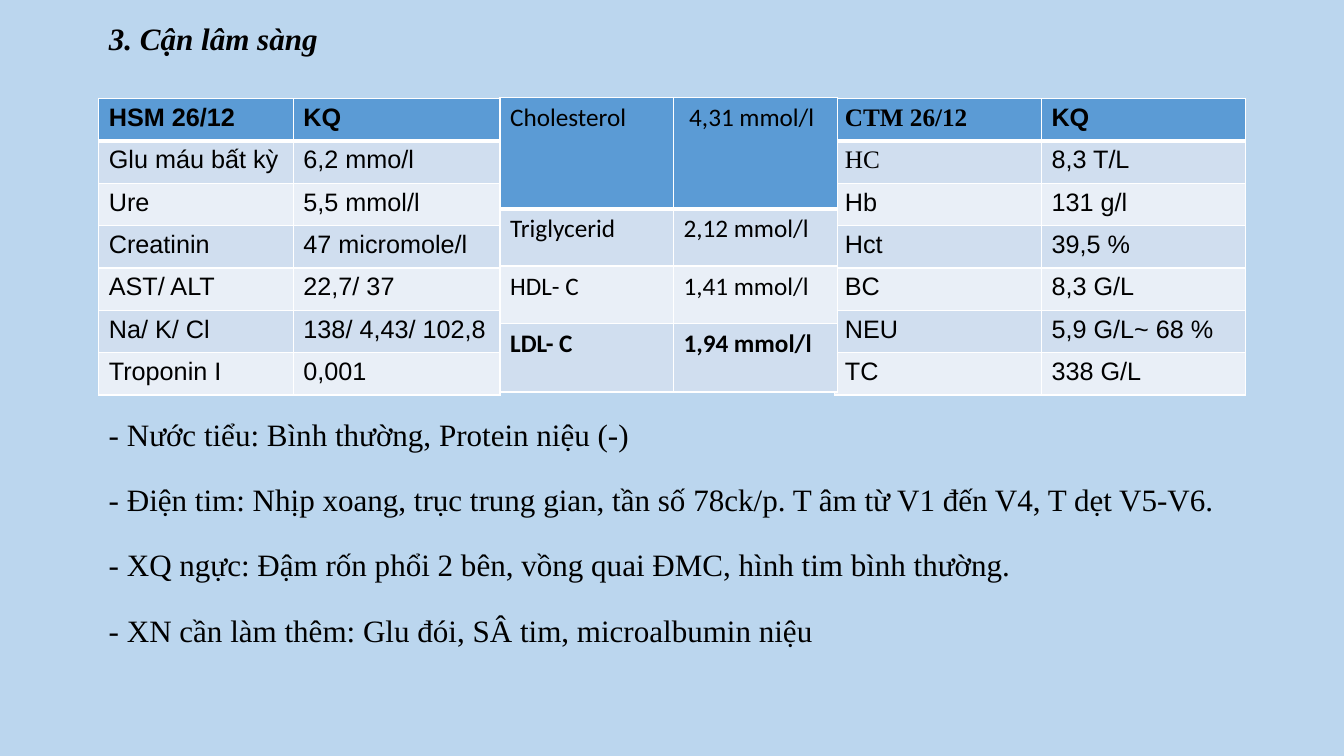
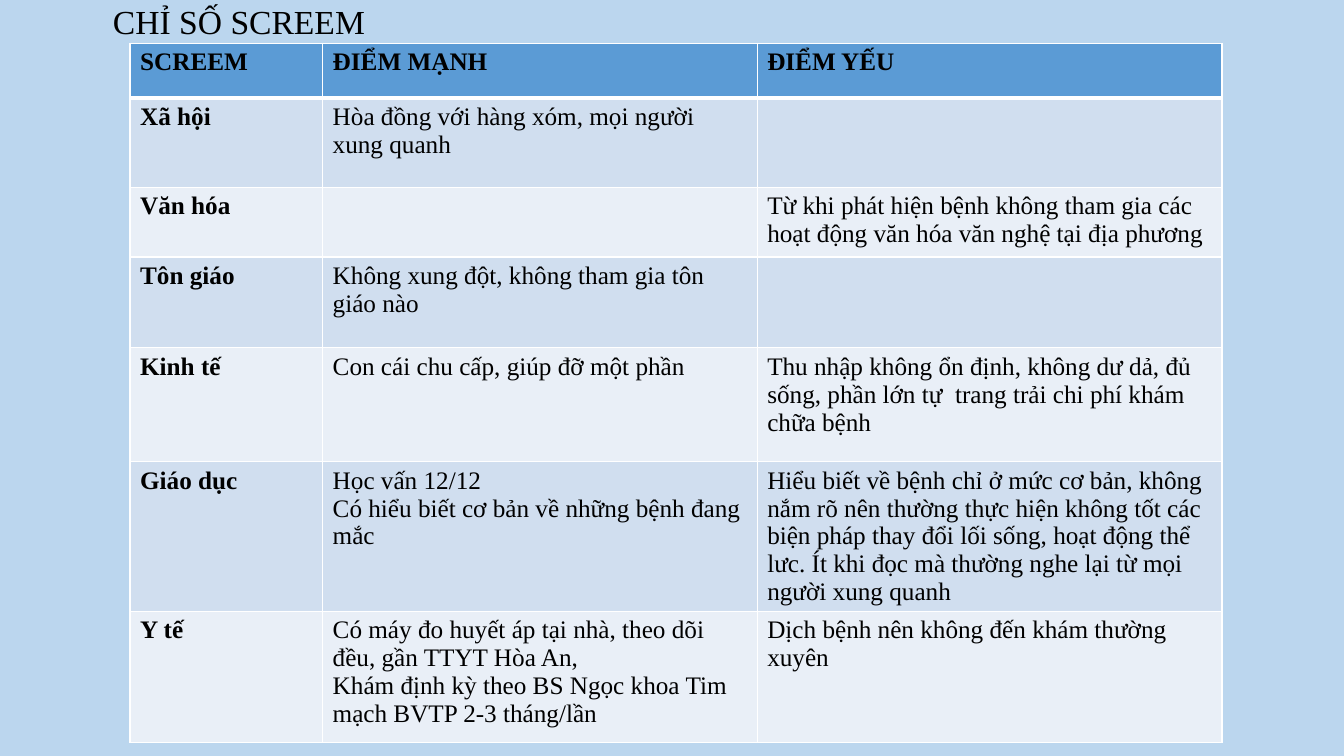
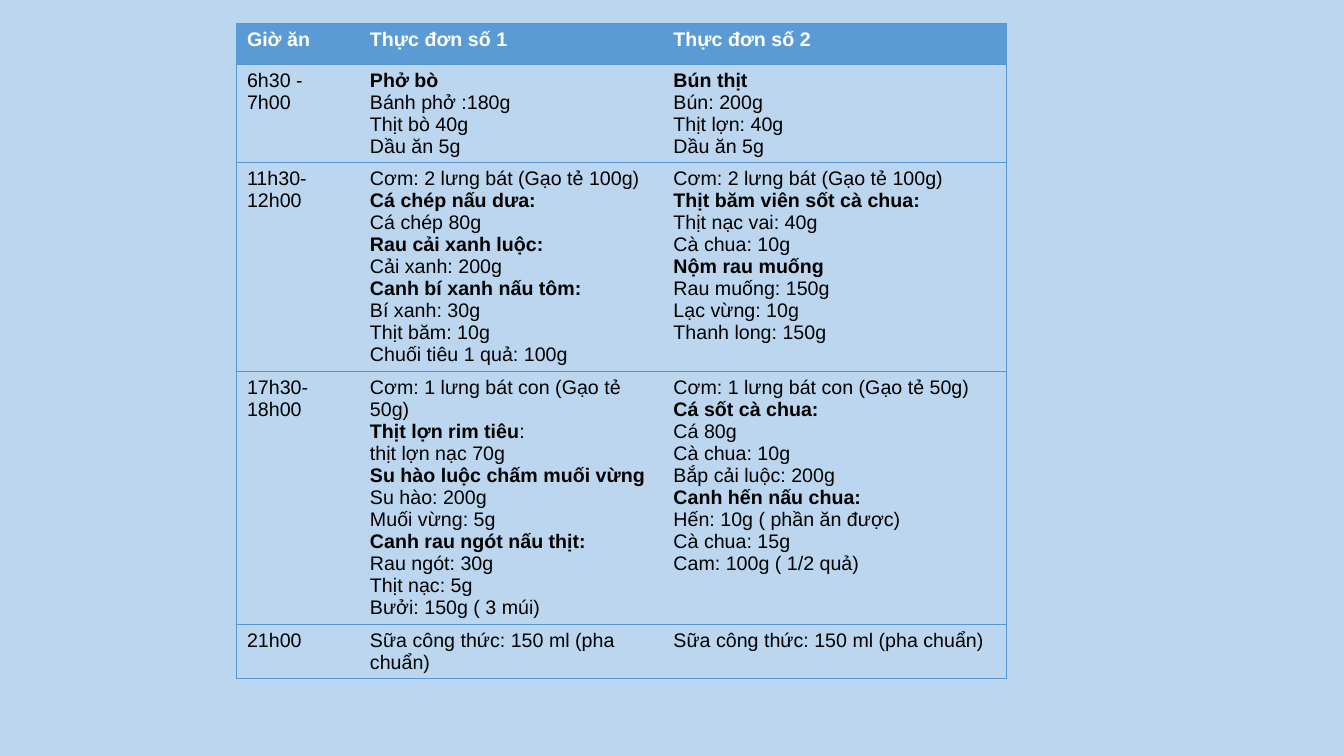
from dataclasses import dataclass, field

from lxml import etree
from pptx import Presentation
from pptx import util as u
from pptx.dml.color import RGBColor
from pptx.enum import text
from pptx.oxml import ns

COLORS = {
    "background": "BBD6EE",
    "header": "5B9BD5",
    "band_dark": "D0DEEF",
    "band_light": "E9EFF7",
    "grid": "FFFFFF",
    "menu_line": "5698D3",
    "text": "000000",
    "header_text": "FFFFFF",
}
SERIF = "Times New Roman"
SANS = "Arial"
HUMANIST = "Calibri"
BOLD_MARK = "**"
FRAME_FORMAT = {
    "word_wrap": True,
    "auto_size": text.MSO_AUTO_SIZE.NONE,
    "vertical_anchor": text.MSO_ANCHOR.TOP,
    "margin_left": u.Inches(0.1),
    "margin_right": u.Inches(0.1),
    "margin_top": u.Inches(0.05),
    "margin_bottom": u.Inches(0.05),
}
TITLE_ONLY, BLANK = 5, 6


@dataclass(frozen=True)
class Title:
    text: str
    left: float
    top: float
    size: float
    line_spacing: float
    emphasis: bool = False


@dataclass(frozen=True)
class Grid:
    left: float
    top: float
    columns: list[float]
    heights: list[float]
    rows: list[list[str]]
    font: str
    size: float = 18
    banded: bool = True
    header_color: str = "text"
    cell_fonts: dict[tuple[int, int], str] = field(default_factory=dict)


SEVEN_ROWS = [0.42] * 7

BLOOD_COUNT = Grid(
    8.28, 0.98, [2.05, 2.02], SEVEN_ROWS,
    [
        ["**CTM 26/12**", "**KQ**"],
        ["HC", "8,3 T/L"],
        ["Hb", "131 g/l"],
        ["Hct", "39,5 %"],
        ["BC", "8,3 G/L"],
        ["NEU", "5,9 G/L~ 68 %"],
        ["TC", "338 G/L"],
    ],
    SANS,
    cell_fonts={(0, 0): SERIF, (1, 0): SERIF},
)
BIOCHEMISTRY = Grid(
    0.98, 0.98, [1.93, 2.05], SEVEN_ROWS,
    [
        ["**HSM 26/12**", "**KQ**"],
        ["Glu máu bất kỳ", "6,2 mmo/l"],
        ["Ure", "5,5 mmol/l"],
        ["Creatinin", "47 micromole/l"],
        ["AST/ ALT", "22,7/ 37"],
        ["Na/ K/ Cl", "138/ 4,43/ 102,8"],
        ["Troponin I", "0,001"],
    ],
    SANS,
)
LIPIDS = Grid(
    4.96, 0.97, [1.72, 1.63], [1.1, 0.57, 0.57, 0.68],
    [
        ["Cholesterol", " 4,31 mmol/l"],
        ["Triglycerid", "2,12 mmol/l"],
        ["HDL- C", "1,41 mmol/l"],
        ["**LDL- C**", "**1,94 mmol/l**"],
    ],
    HUMANIST,
)
SCREEM = Grid(
    1.29, 0.43, [1.91, 4.31, 4.61], [0.54, 0.89, 0.69, 0.9, 1.13, 1.48, 1.3],
    [
        ["**SCREEM**", "**ĐIỂM MẠNH**", "**ĐIỂM YẾU**"],
        ["**Xã hội**", "Hòa đồng với hàng xóm, mọi người xung quanh", ""],
        ["**Văn hóa**", "",
         "Từ khi phát hiện bệnh không tham gia các hoạt động văn hóa văn nghệ tại địa phương"],
        ["**Tôn giáo**", "Không xung đột, không tham gia tôn giáo nào", ""],
        ["**Kinh tế**", "Con cái chu cấp, giúp đỡ một phần",
         "Thu nhập không ổn định, không dư dả, đủ sống, phần lớn tự  trang trải "
         "chi phí khám chữa bệnh"],
        ["**Giáo dục**",
         "Học vấn 12/12\nCó hiểu biết cơ bản về những bệnh đang mắc",
         "Hiểu biết về bệnh chỉ ở mức cơ bản, không nắm rõ nên thường thực hiện "
         "không tốt các biện pháp thay đổi lối sống, hoạt động thể lưc. Ít khi đọc "
         "mà thường nghe lại từ mọi người xung quanh"],
        ["**Y tế**",
         "Có máy đo huyết áp tại nhà, theo dõi đều, gần TTYT Hòa An,\n"
         "Khám định kỳ theo BS Ngọc khoa Tim mạch BVTP 2-3 tháng/lần",
         "Dịch bệnh nên không đến khám thường xuyên"],
    ],
    SERIF,
)
MENU = Grid(
    2.35, 0.23, [1.22, 3.01, 3.4], [0.41, 0.97, 2.07, 2.51, 0.54],
    [
        ["**Giờ ăn**", "**Thực đơn số 1**", "**Thực đơn số 2**"],
        ["6h30 - 7h00",
         "**Phở bò**\nBánh phở :180g\nThịt bò 40g\nDầu ăn 5g",
         "**Bún thịt**\nBún: 200g\nThịt lợn: 40g\nDầu ăn 5g"],
        ["11h30- 12h00",
         "Cơm: 2 lưng bát (Gạo tẻ 100g)\n**Cá chép nấu dưa:**\nCá chép 80g\n"
         "**Rau cải xanh luộc:**\nCải xanh: 200g\n**Canh bí xanh nấu tôm:**\n"
         "Bí xanh: 30g\nThịt băm: 10g\nChuối tiêu 1 quả: 100g",
         "Cơm: 2 lưng bát (Gạo tẻ 100g)\n**Thịt băm viên sốt cà chua:**\n"
         "Thịt nạc vai: 40g\nCà chua: 10g\n**Nộm rau muống**\n"
         "Rau muống: 150g\nLạc vừng: 10g\nThanh long: 150g"],
        ["17h30- 18h00",
         "Cơm: 1 lưng bát con (Gạo tẻ 50g)\n**Thịt lợn rim tiêu**:\n"
         "thịt lợn nạc 70g\n**Su hào luộc chấm muối vừng**\nSu hào: 200g\n"
         "Muối vừng: 5g\n**Canh rau ngót nấu thịt:**\nRau ngót: 30g\n"
         "Thịt nạc: 5g\nBưởi: 150g ( 3 múi)",
         "Cơm: 1 lưng bát con (Gạo tẻ 50g)\n**Cá sốt cà chua:**\nCá 80g\n"
         "Cà chua: 10g\nBắp cải luộc: 200g\n**Canh hến nấu chua:**\n"
         "Hến: 10g ( phần ăn được)\nCà chua: 15g\nCam: 100g ( 1/2 quả)"],
        ["21h00", "Sữa công thức: 150 ml (pha chuẩn)", "Sữa công thức: 150 ml (pha chuẩn)"],
    ],
    SANS, size=14, banded=False, header_color="header_text",
)
FINDINGS = "\n".join([
    "- Nước tiểu: Bình thường, Protein niệu (-)",
    "- Điện tim: Nhịp xoang, trục trung gian, tần số 78ck/p. T âm từ V1 đến V4, T dẹt V5-V6.",
    "- XQ ngực: Đậm rốn phổi 2 bên, vồng quai ĐMC, hình tim bình thường.",
    "- XN cần làm thêm: Glu đói, SÂ tim, microalbumin niệu",
])


def rgb(name: str) -> RGBColor:
    return RGBColor.from_string(COLORS[name])


def apply_format(target, values: dict) -> None:
    for name, value in values.items():
        setattr(target, name, value)


def write_text(frame, content: str, font: str, size: float, color: str = "text",
               italic: bool = False, paragraph_format: dict | None = None) -> None:
    for index, line in enumerate(content.split("\n")):
        paragraph = frame.paragraphs[0] if index == 0 else frame.add_paragraph()
        apply_format(paragraph, {"alignment": text.PP_ALIGN.LEFT, **(paragraph_format or {})})
        for part, words in enumerate(line.split(BOLD_MARK)):
            if words:
                run = paragraph.add_run()
                run.text = words
                apply_format(run.font, {"name": font, "size": u.Pt(size),
                                        "bold": part % 2 == 1, "italic": italic})
                run.font.color.rgb = rgb(color)


def add_title(slide, title: Title) -> None:
    shape = slide.shapes.title
    apply_format(shape, {"left": u.Inches(title.left), "top": u.Inches(title.top),
                         "width": u.Inches(11.38), "height": u.Inches(0.45)})
    apply_format(shape.text_frame, FRAME_FORMAT)
    mark = BOLD_MARK if title.emphasis else ""
    write_text(shape.text_frame, f"{mark}{title.text}{mark}", SERIF, title.size,
               italic=title.emphasis,
               paragraph_format={"line_spacing": title.line_spacing})


def add_findings(slide) -> None:
    box = slide.shapes.add_textbox(u.Inches(0.98), u.Inches(3.96), u.Inches(11.38), u.Inches(2.6))
    apply_format(box.text_frame, FRAME_FORMAT)
    write_text(box.text_frame, FINDINGS, SERIF, 22.2,
               paragraph_format={"line_spacing": 1.3, "space_before": u.Pt(12)})


def set_borders(cell, borders: dict[str, tuple[str, float] | None]) -> None:
    properties = cell._tc.get_or_add_tcPr()
    for index, (side, border) in enumerate(borders.items()):
        line = etree.Element(ns.qn(f"a:ln{side}"))
        if border is None:
            etree.SubElement(line, ns.qn("a:noFill"))
        else:
            color, width = border
            line.set("w", str(u.Pt(width)))
            fill = etree.SubElement(line, ns.qn("a:solidFill"))
            etree.SubElement(fill, ns.qn("a:srgbClr")).set("val", COLORS[color])
        properties.insert(index, line)


def cell_borders(grid: Grid, row: int, column: int) -> dict[str, tuple[str, float] | None]:
    if grid.banded:
        thin, thick = ("grid", 1), ("grid", 3)
        return {"L": thin, "R": thin, "T": thick if row == 1 else thin,
                "B": thick if row == 0 else thin}
    edge = ("menu_line", 0.75)
    return {"L": edge if column == 0 else None,
            "R": edge if column == len(grid.columns) - 1 else None,
            "T": edge, "B": edge}


def fill_cell(cell, grid: Grid, row: int) -> None:
    if row == 0 or grid.banded:
        band = "band_dark" if row % 2 else "band_light"
        cell.fill.solid()
        cell.fill.fore_color.rgb = rgb("header" if row == 0 else band)
    else:
        cell.fill.background()


def add_grid(slide, grid: Grid) -> None:
    frame = slide.shapes.add_table(
        len(grid.heights), len(grid.columns), u.Inches(grid.left), u.Inches(grid.top),
        u.Inches(sum(grid.columns)), u.Inches(sum(grid.heights)))
    table = frame.table
    apply_format(table, {"first_row": False, "horz_banding": False})
    for column, width in zip(table.columns, grid.columns):
        column.width = u.Inches(width)
    for row_index, (row, height) in enumerate(zip(table.rows, grid.heights)):
        row.height = u.Inches(height)
        for column_index, cell in enumerate(row.cells):
            write_text(cell.text_frame, grid.rows[row_index][column_index],
                       grid.cell_fonts.get((row_index, column_index), grid.font), grid.size,
                       grid.header_color if row_index == 0 else "text")
            set_borders(cell, cell_borders(grid, row_index, column_index))
            fill_cell(cell, grid, row_index)


def add_slide(presentation, grids: list[Grid], title: Title | None = None):
    layout = presentation.slide_layouts[TITLE_ONLY if title else BLANK]
    slide = presentation.slides.add_slide(layout)
    if title:
        add_title(slide, title)
    for grid in grids:
        add_grid(slide, grid)
    return slide


def main() -> None:
    presentation = Presentation()
    apply_format(presentation, {"slide_width": u.Inches(13.33), "slide_height": u.Inches(7.5)})
    background = presentation.slide_master.background.fill
    background.solid()
    background.fore_color.rgb = rgb("background")

    laboratory = add_slide(presentation, [BLOOD_COUNT, BIOCHEMISTRY, LIPIDS],
                           Title("3. Cận lâm sàng", 0.98, 0.24, 22.2, 0.7, emphasis=True))
    add_findings(laboratory)
    add_slide(presentation, [SCREEM], Title("CHỈ SỐ SCREEM", 1.02, 0, 24, 0.9))
    add_slide(presentation, [MENU])
    presentation.save("out.pptx")


if __name__ == "__main__":
    main()
